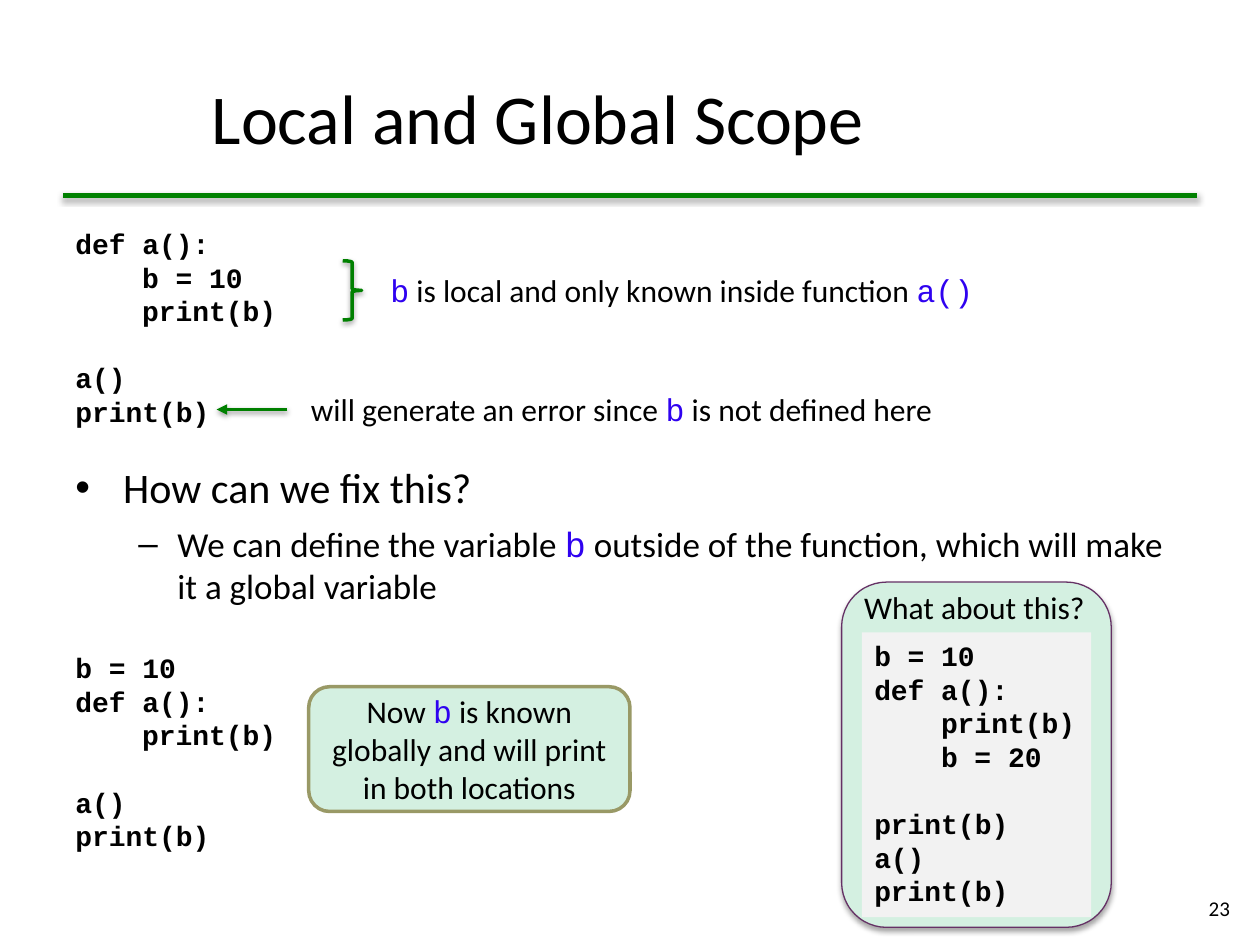
from lxml import etree
from pptx import Presentation
from pptx.dml.color import RGBColor
from pptx.enum import shapes, text
from pptx.oxml import ns
from pptx.util import Inches, Pt

BLACK = "000000"
GREEN = "008000"
MINT = "D4F0E1"
VIOLET = "2F02F0"
CODE_LINE = 19.2


def colour(value):
    return RGBColor.from_string(value)


def add_element(parent, tag, **attributes):
    return etree.SubElement(parent, ns.qn(tag), attributes)


def add_shadow(properties, opacity, distance):
    effects = properties.find(ns.qn("a:effectLst"))
    if effects is None:
        effects = add_element(properties, "a:effectLst")
    shadow = add_element(effects, "a:outerShdw", blurRad=str(Pt(3.1)), dist=str(Pt(distance)),
                         dir="5400000", rotWithShape="0")
    tint = add_element(shadow, "a:srgbClr", val=BLACK)
    add_element(tint, "a:alpha", val=str(opacity * 1000))


def style_span(span, size, font="Calibri", tint=BLACK, bold=False):
    span.font.size = Pt(size)
    span.font.name = font
    span.font.color.rgb = colour(tint)
    span.font.bold = bold


def fill_prose(para, content, size):
    for index, part in enumerate(content.split("`")):
        if part:
            span = para.add_run()
            span.text = part
            if index % 2:
                style_span(span, size, "Courier New", VIOLET)
            else:
                style_span(span, size)


def next_paragraph(frame):
    first = frame.paragraphs[0]
    return frame.add_paragraph() if first.runs else first


def indent(para, left, hanging=0):
    properties = para._p.get_or_add_pPr()
    properties.set("marL", str(Inches(left)))
    properties.set("indent", str(-Inches(hanging)))
    return properties


def add_code(frame, lines, gap_after=0):
    for line in lines:
        para = next_paragraph(frame)
        para.text = line.strip()
        para.line_spacing = Pt(CODE_LINE)
        para.space_after = Pt(0)
        if line.startswith(" "):
            indent(para, 0.53)
        style_span(para.runs[0], 16, "Courier New", bold=True)
    para.space_after = Pt(gap_after)


def add_bullet(frame, content, size, mark, left, hanging, gap_after):
    para = next_paragraph(frame)
    fill_prose(para, content, size)
    para.space_after = Pt(gap_after)
    properties = indent(para, left, hanging)
    add_element(properties, "a:buFont", typeface="Arial")
    add_element(properties, "a:buChar", char=mark)


def add_box(page, left, top, width, height, wrap=True):
    box = page.shapes.add_textbox(Inches(left), Inches(top), Inches(width), Inches(height))
    box.text_frame.word_wrap = wrap
    return box.text_frame


def add_note(page, content, left, top, width, size=18, wrap=False):
    frame = add_box(page, left, top, width, 0.4, wrap)
    fill_prose(frame.paragraphs[0], content, size)
    return frame


def add_shape(page, kind, left, top, width, height, fill=None, line=None, weight=2):
    shape = page.shapes.add_shape(kind, Inches(left), Inches(top), Inches(width), Inches(height))
    shape.shadow.inherit = False
    if fill:
        shape.fill.solid()
        shape.fill.fore_color.rgb = colour(fill)
    else:
        shape.fill.background()
    if line:
        shape.line.color.rgb = colour(line)
        shape.line.width = Pt(weight)
    else:
        shape.line.fill.background()
    return shape


def add_line(page, start, end, y, weight, arrow=False):
    line = page.shapes.add_connector(shapes.MSO_CONNECTOR.STRAIGHT, Inches(start), Inches(y),
                                     Inches(end), Inches(y))
    line.line.color.rgb = colour(GREEN)
    line.line.width = Pt(weight)
    if arrow:
        add_element(line.line._get_or_add_ln(), "a:tailEnd", type="triangle")
    add_shadow(line._element.spPr, 38, 1.6)


def add_title(page, content):
    title = page.shapes.title
    title.left, title.top = Inches(1.58), Inches(0.3)
    title.width, title.height = Inches(8.27), Inches(1.25)
    title.text_frame.text = content
    title.text_frame.vertical_anchor = text.MSO_ANCHOR.MIDDLE
    para = title.text_frame.paragraphs[0]
    para.alignment = text.PP_ALIGN.LEFT
    style_span(para.runs[0], 40)


def add_body(page):
    frame = add_box(page, 0.5, 1.75, 9, 5.26)
    add_code(frame, ["def a():", " b = 10", " print(b)"], CODE_LINE)
    add_code(frame, ["a()", "print(b)"], CODE_LINE)
    add_bullet(frame, "How can we fix this?", 24, "•", 0.38, 0.38, 6)
    add_bullet(frame, "We can define the variable `b` outside of the function, "
               "which will make it a global variable", 20, "–", 0.81, 0.31, 6 + CODE_LINE)
    add_code(frame, ["b = 10", "def a():", " print(b)"], CODE_LINE)
    add_code(frame, ["a()", "print(b)"])


def add_callout(page):
    callout = add_shape(page, shapes.MSO_SHAPE.ROUNDED_RECTANGLE, 2.45, 5.45, 2.55, 0.99,
                        MINT, "999966")
    frame = callout.text_frame
    frame.word_wrap = True
    frame.vertical_anchor = text.MSO_ANCHOR.MIDDLE
    para = frame.paragraphs[0]
    para.alignment = text.PP_ALIGN.CENTER
    fill_prose(para, "Now `b` is known globally and will print in both locations", 18)


def add_question(page):
    panel = add_shape(page, shapes.MSO_SHAPE.ROUNDED_RECTANGLE, 6.68, 4.62, 2.14, 2.74,
                      MINT, "653165", 0.75)
    add_shadow(panel._element.spPr, 35, 1.8)
    listing = add_shape(page, shapes.MSO_SHAPE.RECTANGLE, 6.84, 5.02, 1.82, 2.26, "F2F2F2")
    frame = listing.text_frame
    frame.word_wrap = False
    frame.vertical_anchor = text.MSO_ANCHOR.TOP
    add_code(frame, ["b = 10", "def a():", " print(b)", " b = 20"], CODE_LINE)
    add_code(frame, ["print(b)", "a()", "print(b)"])
    for para in frame.paragraphs:
        para.alignment = text.PP_ALIGN.LEFT
    add_note(page, "What about this?", 6.76, 4.62, 1.97)


def main():
    deck = Presentation()
    deck.slide_width, deck.slide_height = Inches(10), Inches(7.5)
    page = deck.slides.add_slide(deck.slide_layouts[5])
    add_title(page, "Local and Global Scope")
    add_line(page, 0.5, 9.5, 1.55, 3)
    add_body(page)
    brace = add_shape(page, shapes.MSO_SHAPE.RIGHT_BRACE, 2.72, 2.07, 0.15, 0.47, line=GREEN)
    add_shadow(brace._element.spPr, 38, 1.6)
    add_note(page, "`b` is local and only known inside function `a()`", 3, 2.1, 4.88)
    add_note(page, "will generate an error since `b` is not defined here", 2.37, 3.05, 5.6, wrap=True)
    add_line(page, 2.28, 1.72, 3.25, 2, arrow=True)
    add_callout(page)
    add_question(page)
    number = add_note(page, "23", 9.46, 7.01, 0.4, size=12)
    number.word_wrap = True
    number.vertical_anchor = text.MSO_ANCHOR.MIDDLE
    number.paragraphs[0].alignment = text.PP_ALIGN.RIGHT
    deck.save("out.pptx")


if __name__ == "__main__":
    main()
